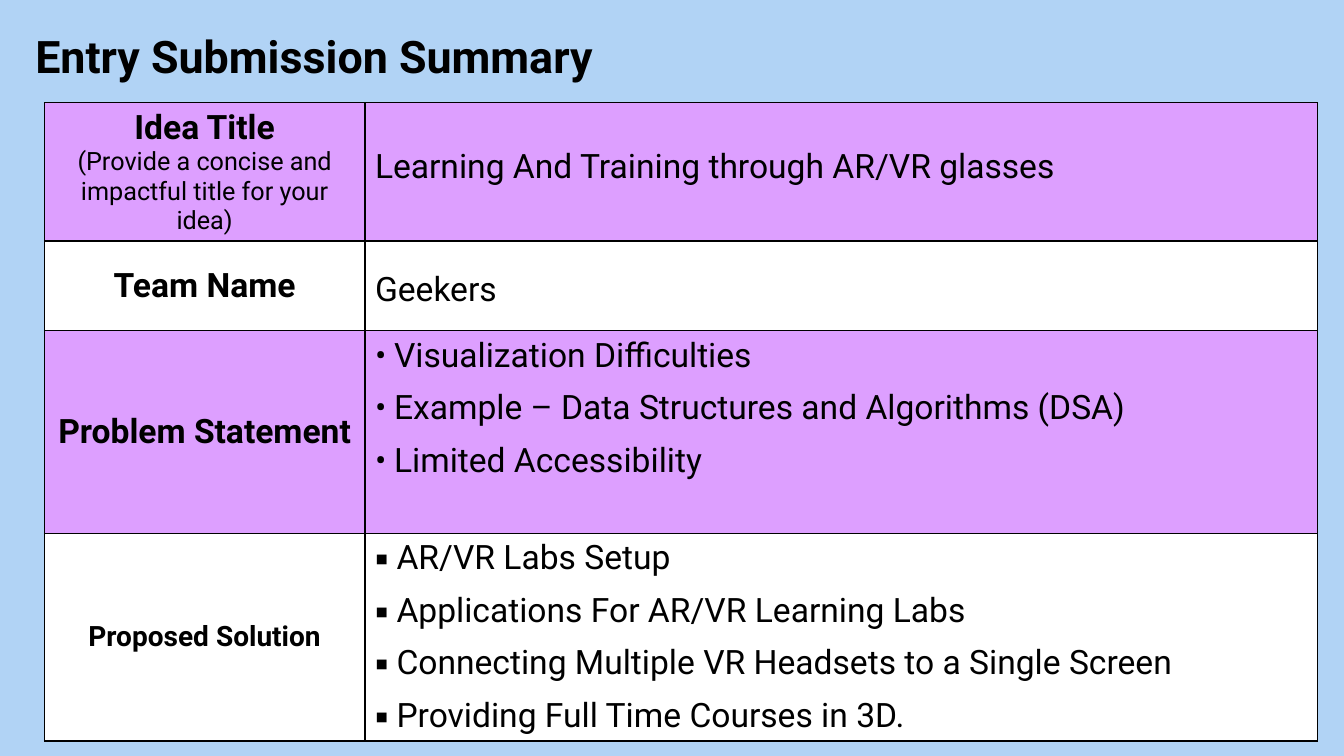
from lxml.etree import SubElement
from pptx import Presentation
from pptx.dml.color import RGBColor
from pptx.enum.text import MSO_ANCHOR, PP_ALIGN
from pptx.oxml.ns import qn
from pptx.util import Pt

FONT = "Roboto"
BLACK, WHITE, LILAC, SKY = "000000", "FFFFFF", "DD9FFF", "B1D3F5"
COLUMN_WIDTHS = (229, 680.4)
ENTRIES = [
    {"height": 65.5, "label": "Idea Title", "label_size": 24,
     "hint": "(Provide a concise and impactful title for your idea)",
     "answers": ["Learning And Training through AR/VR glasses"], "spacing": 2},
    {"height": 64.1, "label": "Team Name", "label_size": 24,
     "answers": ["Geekers"], "spacing": 1.6},
    {"height": 144.7, "label": "Problem Statement", "label_size": 24,
     "answers": ["Visualization Difficulties",
                 "Example – Data Structures and Algorithms (DSA)",
                 "Limited Accessibility"],
     "bullet": "•", "indent": 13.6},
    {"height": 140.4, "label": "Proposed Solution", "label_size": 20,
     "answers": ["AR/VR Labs Setup",
                 "Applications For AR/VR Learning Labs",
                 "Connecting Multiple VR Headsets to a Single Screen",
                 "Providing Full Time Courses in 3D."],
     "bullet": "▪", "indent": 15.4},
]


def color(hex_value):
    return RGBColor.from_string(hex_value)


def add_run(paragraph, text, size, bold=False):
    run = paragraph.add_run()
    run.text = text
    run.font.name = FONT
    run.font.size = Pt(size)
    run.font.bold = bold
    run.font.color.rgb = color(BLACK)


def add_bullet(paragraph, mark, indent):
    properties = paragraph._p.get_or_add_pPr()
    properties.set("marL", str(Pt(indent)))
    properties.set("indent", str(-Pt(indent)))
    SubElement(properties, qn("a:buFont"), typeface=FONT)
    SubElement(properties, qn("a:buChar"), char=mark)


def style_cell(cell, fill):
    properties = cell._tc.get_or_add_tcPr()
    for side in ("a:lnL", "a:lnR", "a:lnT", "a:lnB"):
        border = SubElement(properties, qn(side), w=str(Pt(1)))
        border_fill = SubElement(border, qn("a:solidFill"))
        SubElement(border_fill, qn("a:srgbClr"), val=BLACK)
    cell.fill.solid()
    cell.fill.fore_color.rgb = color(fill)


def fill_label(cell, entry):
    cell.vertical_anchor = MSO_ANCHOR.MIDDLE
    label = cell.text_frame.paragraphs[0]
    label.alignment = PP_ALIGN.CENTER
    add_run(label, entry["label"], entry["label_size"], True)
    if "hint" in entry:
        label.add_line_break()
        add_run(label, entry["hint"], 18)


def fill_answers(cell, entry):
    frame = cell.text_frame
    for index, text in enumerate(entry["answers"]):
        answer = frame.add_paragraph() if index else frame.paragraphs[0]
        if index:
            answer.space_before = Pt(9.4)
        if "spacing" in entry:
            answer.line_spacing = entry["spacing"]
        if "bullet" in entry:
            add_bullet(answer, entry["bullet"], entry["indent"])
        add_run(answer, text, 24)


def place_heading(slide, left, top, width, height):
    heading = slide.shapes.title
    heading.left, heading.top = Pt(left), Pt(top)
    heading.width, heading.height = Pt(width), Pt(height)
    frame = heading.text_frame
    frame.word_wrap = True
    frame.vertical_anchor = MSO_ANCHOR.TOP
    frame.margin_left = frame.margin_top = frame.margin_bottom = 0
    frame.margin_right = Pt(9.4)
    paragraph = frame.paragraphs[0]
    paragraph.alignment = PP_ALIGN.LEFT
    paragraph.line_spacing = 0.8
    add_run(paragraph, "Entry Submission Summary", 32, True)


def place_summary(slide, left, top):
    height = sum(entry["height"] for entry in ENTRIES)
    summary = slide.shapes.add_table(
        len(ENTRIES), len(COLUMN_WIDTHS), Pt(left), Pt(top),
        Pt(sum(COLUMN_WIDTHS)), Pt(height)).table
    summary.first_row = summary.horz_banding = False
    for column, width in zip(summary.columns, COLUMN_WIDTHS):
        column.width = Pt(width)
    for index, entry in enumerate(ENTRIES):
        row = summary.rows[index]
        row.height = Pt(entry["height"])
        label, answers = row.cells
        for cell in (label, answers):
            style_cell(cell, WHITE if index % 2 else LILAC)
        fill_label(label, entry)
        fill_answers(answers, entry)


def build_summary_slide(deck):
    slide = deck.slides.add_slide(deck.slide_layouts[5])
    slide.background.fill.solid()
    slide.background.fill.fore_color.rgb = color(SKY)
    place_heading(slide, 25.2, 28.1, 885, 67)
    place_summary(slide, 31.7, 73.4)


def main():
    deck = Presentation()
    deck.slide_width, deck.slide_height = Pt(960), Pt(540)
    build_summary_slide(deck)
    deck.save("out.pptx")


if __name__ == "__main__":
    main()
